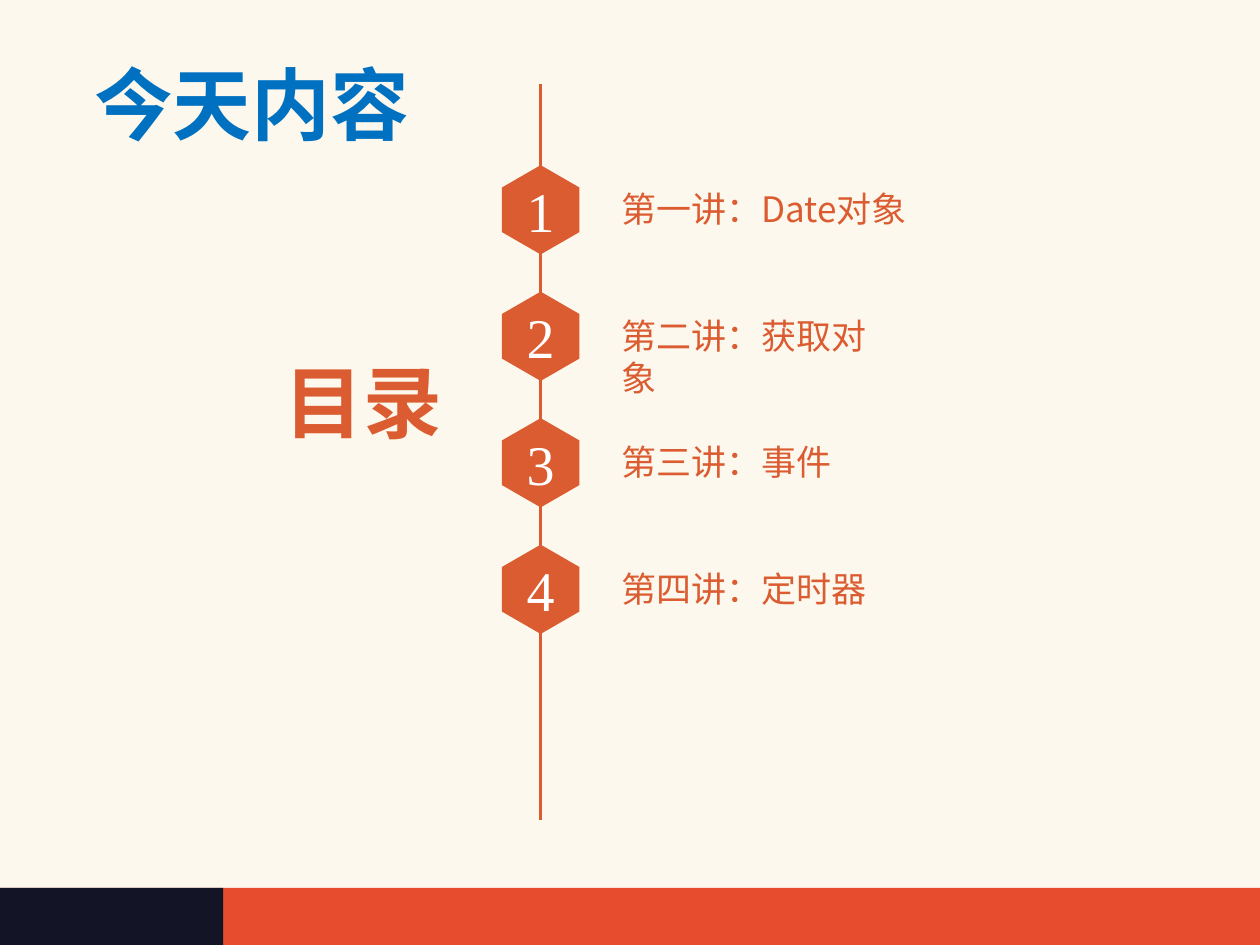
from lxml import etree
from pptx import Presentation
from pptx.dml.color import RGBColor
from pptx.enum.shapes import MSO_CONNECTOR, MSO_SHAPE
from pptx.enum.text import MSO_ANCHOR, PP_ALIGN
from pptx.oxml.ns import qn
from pptx.util import Cm, Pt

RECT = MSO_SHAPE.RECTANGLE
STRAIGHT = MSO_CONNECTOR.STRAIGHT
MIDDLE = MSO_ANCHOR.MIDDLE
CENTER = PP_ALIGN.CENTER

COLORS = {
    "paper": "FCF8ED",
    "footer": "E74C2E",
    "corner": "131426",
    "accent": "DC5C31",
    "title": "0070C0",
    "white": "FFFFFF",
}
SANS = "Noto Sans CJK SC"
SERIF = "Times New Roman"
LECTURES = [
    ("第一讲：Date对象", 6.32),
    ("第二讲：获取对象", 6.1),
    ("第三讲：事件", 4.75),
    ("第四讲：定时器", 5.51),
]
AXIS_X = 10.9
FIRST_TOP = 3.33
PITCH = 2.55


def rgb(name):
    """Return the named colour."""
    return RGBColor.from_string(COLORS[name])


def fill_plain(sp, color):
    """Give a shape a flat fill without line or shadow."""
    sp.shadow.inherit = False
    sp.fill.solid()
    sp.fill.fore_color.rgb = rgb(color)
    sp.line.fill.background()


def style_run(r, font, size, color, bold=False):
    """Set the font of a run for Latin and Chinese text."""
    r.font.name = font
    r.font.size = Pt(size)
    r.font.color.rgb = rgb(color)
    r.font.bold = bold
    ea = etree.SubElement(r.font._element, qn("a:ea"))
    ea.set("typeface", font)


def add_band(s, left, top, width, height, color):
    """Add a plain rectangle."""
    sp = s.shapes.add_shape(RECT, Cm(left), Cm(top), Cm(width), Cm(height))
    fill_plain(sp, color)


def add_axis(s, top, bottom):
    """Add a vertical timeline stroke."""
    line = s.shapes.add_connector(STRAIGHT, Cm(AXIS_X), Cm(top), Cm(AXIS_X), Cm(bottom))
    line.line.color.rgb = rgb("accent")
    line.line.width = Pt(1.5)
    etree.SubElement(line._element.spPr, qn("a:effectLst"))


def add_label(s, text, left, top, width, height, size, color, bold=False, wrap=False):
    """Add a one-paragraph text box."""
    sp = s.shapes.add_textbox(Cm(left), Cm(top), Cm(width), Cm(height))
    tf = sp.text_frame
    tf.word_wrap = wrap
    tf.text = text
    style_run(tf.paragraphs[0].runs[0], SANS, size, color, bold)


def add_hexagon(s, number, top):
    """Add a numbered hexagon centred on the timeline."""
    half, height, shoulder = 0.78, 1.8, 0.45
    left, right = AXIS_X - half, AXIS_X + half
    upper, lower, bottom = top + shoulder, top + height - shoulder, top + height
    points = [(right, upper), (right, lower), (AXIS_X, bottom), (left, lower), (left, upper)]
    builder = s.shapes.build_freeform(Cm(AXIS_X), Cm(top))
    builder.add_line_segments([(Cm(x), Cm(y)) for x, y in points], close=True)
    sp = builder.convert_to_shape()
    fill_plain(sp, "accent")
    tf = sp.text_frame
    tf.vertical_anchor = MIDDLE
    tf.text = str(number)
    p = tf.paragraphs[0]
    p.alignment = CENTER
    style_run(p.runs[0], SERIF, 32, "white")


def main():
    """Build the agenda slide."""
    prs = Presentation()
    prs.slide_width, prs.slide_height = Cm(25.4), Cm(19.05)
    s = prs.slides.add_slide(prs.slide_layouts[6])

    add_band(s, 0, 0, 25.4, 19.05, "paper")
    add_band(s, 0, 17.9, 25.4, 1.15, "footer")
    add_band(s, 0, 17.9, 4.5, 1.15, "corner")
    add_axis(s, 1.7, 14.53)
    add_axis(s, 2.31, 16.53)

    for i, (text, width) in enumerate(LECTURES):
        top = FIRST_TOP + i * PITCH
        add_label(s, text, 12.27, top + 0.33, width, 1.17, 20, "accent", wrap=True)
        add_hexagon(s, i + 1, top)

    add_label(s, "目录", 5.49, 7.01, 3.73, 2.18, 45, "accent", bold=True)
    add_label(s, "今天内容", 1.65, 0.99, 6.86, 2.29, 45, "title", bold=True)
    prs.save("out.pptx")


if __name__ == "__main__":
    main()
